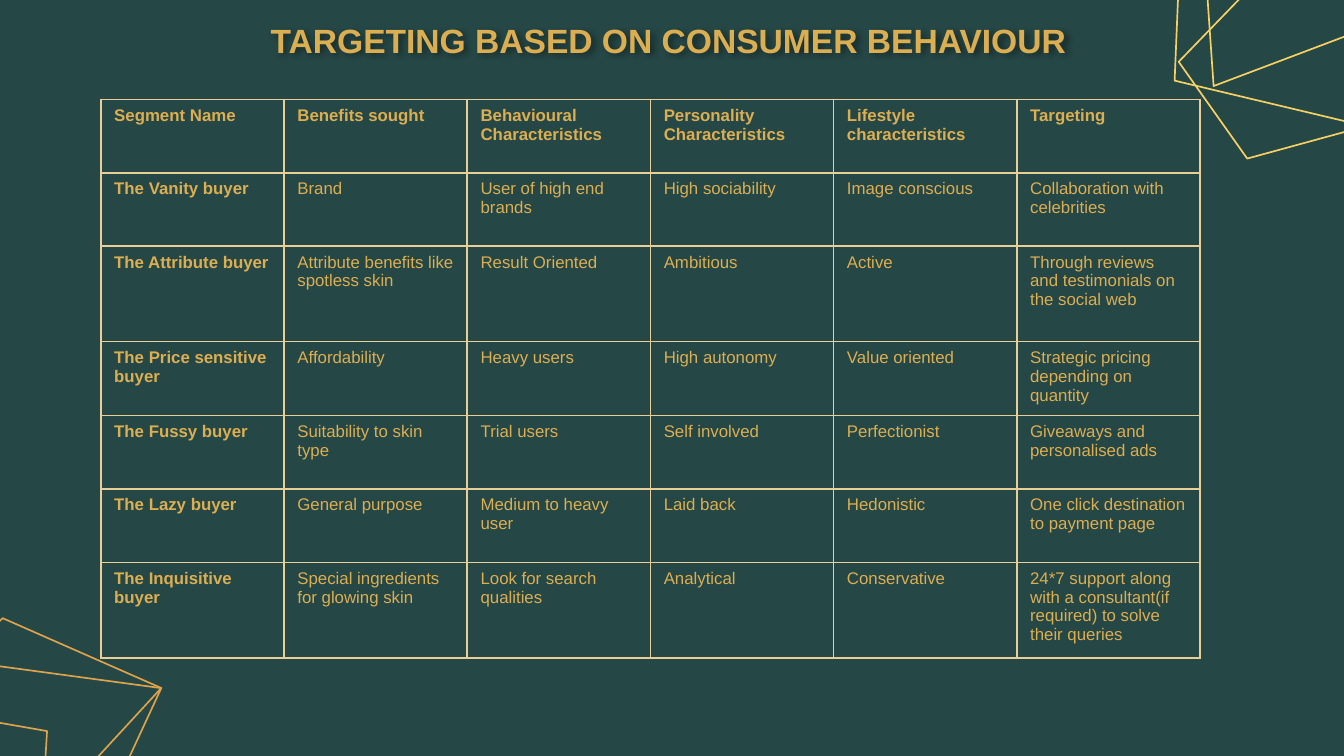
"""Builds a slide with a table of consumer segments and how to target them."""
from dataclasses import dataclass

from lxml.etree import SubElement
from pptx import Presentation
from pptx.dml.color import RGBColor
from pptx.enum.text import MSO_ANCHOR, MSO_AUTO_SIZE, PP_ALIGN
from pptx.oxml import parse_xml
from pptx.oxml.ns import nsdecls, qn
from pptx.util import Inches, Pt


@dataclass(frozen=True)
class Theme:
    """Colours, font and type sizes of the slide."""
    background: str = "254746"
    gold: str = "DCAE52"
    border: str = "EACE97"
    bright_outline: str = "F5D163"
    dark_outline: str = "DCA24C"
    font: str = "Arial"
    title_size: int = 18
    cell_size: int = 9
    outline_width: float = 0.9


THEME = Theme()

SEGMENTS = [
    ["Segment Name", "Benefits sought", "Behavioural Characteristics",
     "Personality Characteristics", "Lifestyle characteristics", "Targeting"],
    ["The Vanity buyer", "Brand", "User of high end brands",
     "High sociability", "Image conscious", "Collaboration with celebrities"],
    ["The Attribute buyer", "Attribute benefits like spotless skin",
     "Result Oriented", "Ambitious", "Active",
     "Through reviews and testimonials on the social web"],
    ["The Price sensitive buyer", "Affordability", "Heavy users",
     "High autonomy", "Value oriented",
     "Strategic pricing depending on quantity"],
    ["The Fussy buyer", "Suitability to skin type", "Trial users",
     "Self involved", "Perfectionist", "Giveaways and personalised ads"],
    ["The Lazy buyer", "General purpose", "Medium to heavy user",
     "Laid back", "Hedonistic", "One click destination to payment page"],
    ["The Inquisitive buyer", "Special ingredients for glowing skin",
     "Look for search qualities", "Analytical", "Conservative",
     "24*7 support along with a consultant(if required) to solve their queries"],
]
TALL_ROWS = {2, 6}
TALL_HEIGHT = 0.71

TOP_RIGHT_POLYGONS = [
    [(9.03, 0.64), (8.87, -1.66), (11.72, -1.27), (11.2, -0.18)],
    [(8.74, 0.6), (8.79, -0.6), (10.48, -1.2), (11.4, -1.06),
     (11.37, -0.48), (10.42, 1)],
    [(9.28, 1.18), (8.77, 0.46), (10.51, -1.34), (11.89, -0.77),
     (10.45, 0.86)],
]
BOTTOM_LEFT_POLYGONS = [
    [(-1.99, 6.83), (-1.92, 5.78), (-0.45, 5.3), (0.35, 5.44),
     (0.32, 5.95), (-0.54, 7.21)],
    [(-1.1, 6.77), (-1.52, 6.13), (0.02, 4.6), (1.2, 5.12), (-0.08, 6.51)],
    [(-1.1, 6.77), (-1.24, 4.79), (1.2, 5.12), (0.76, 6.07)],
]


def write_text(frame, text, *, size, bold=False, align=PP_ALIGN.LEFT):
    """Put one formatted paragraph of gold text into a text frame."""
    frame.word_wrap = True
    paragraph = frame.paragraphs[0]
    paragraph.alignment = align
    run = paragraph.add_run()
    run.text = text
    run.font.name = THEME.font
    run.font.size = Pt(size)
    run.font.bold = bold
    run.font.color.rgb = RGBColor.from_string(THEME.gold)


def add_polygon(slide, corners, color):
    """Draw a closed, unfilled polygon through corners given in inches."""
    start, *others = [(Inches(x), Inches(y)) for x, y in corners]
    builder = slide.shapes.build_freeform(*start)
    builder.add_line_segments(others, close=True)
    polygon = builder.convert_to_shape()
    polygon.shadow.inherit = False
    polygon.fill.background()
    polygon.line.color.rgb = RGBColor.from_string(color)
    polygon.line.width = Pt(THEME.outline_width)


def add_title(slide, text):
    """Format the title placeholder, with a soft shadow behind its letters."""
    title = slide.shapes.title
    title.left, title.top = Inches(1.39), Inches(0.1)
    title.width, title.height = Inches(7.17), Inches(0.4)
    title.text_frame.auto_size = MSO_AUTO_SIZE.SHAPE_TO_FIT_TEXT
    title.text_frame.vertical_anchor = MSO_ANCHOR.TOP
    write_text(title.text_frame, text, size=THEME.title_size, bold=True,
               align=PP_ALIGN.CENTER)
    title.fill.background()
    title.element.spPr.append(parse_xml(
        f'<a:effectLst {nsdecls("a")}>'
        '<a:outerShdw blurRad="38100" dist="19050" dir="2700000" algn="tl">'
        '<a:srgbClr val="000000"><a:alpha val="40000"/></a:srgbClr>'
        '</a:outerShdw></a:effectLst>'))


def set_borders(cell):
    """Give a cell the same thin border on all four sides."""
    properties = cell._tc.get_or_add_tcPr()
    for position, side in enumerate(("lnL", "lnR", "lnT", "lnB")):
        border = SubElement(properties, qn(f"a:{side}"), w=str(Pt(1)))
        fill = SubElement(border, qn("a:solidFill"))
        SubElement(fill, qn("a:srgbClr"), val=THEME.border)
        properties.insert(position, border)


def add_segment_table(slide, rows):
    """Add the table, with bold text in its first row and first column."""
    width, height = 8.18, 4.15
    table = slide.shapes.add_table(
        len(rows), len(rows[0]), Inches(0.75), Inches(0.74),
        Inches(width), Inches(height)).table
    table.first_row = table.horz_banding = False
    for column in table.columns:
        column.width = Inches(width / len(rows[0]))
    short_height = ((height - TALL_HEIGHT * len(TALL_ROWS))
                    / (len(rows) - len(TALL_ROWS)))
    for row_index, row in enumerate(rows):
        row_height = TALL_HEIGHT if row_index in TALL_ROWS else short_height
        table.rows[row_index].height = Inches(row_height)
        for column_index, text in enumerate(row):
            cell = table.cell(row_index, column_index)
            cell.fill.background()
            set_borders(cell)
            write_text(cell.text_frame, text, size=THEME.cell_size,
                       bold=row_index == 0 or column_index == 0)


def main():
    """Build and save the slide."""
    deck = Presentation()
    deck.slide_width, deck.slide_height = Inches(10), Inches(10 * 9 / 16)
    slide = deck.slides.add_slide(deck.slide_layouts.get_by_name("Title Only"))
    slide.background.fill.solid()
    slide.background.fill.fore_color.rgb = RGBColor.from_string(THEME.background)
    for polygons, color in ((TOP_RIGHT_POLYGONS, THEME.bright_outline),
                            (BOTTOM_LEFT_POLYGONS, THEME.dark_outline)):
        for corners in polygons:
            add_polygon(slide, corners, color)
    add_segment_table(slide, SEGMENTS)
    add_title(slide, "TARGETING BASED ON CONSUMER BEHAVIOUR")
    deck.save("out.pptx")


if __name__ == "__main__":
    main()
